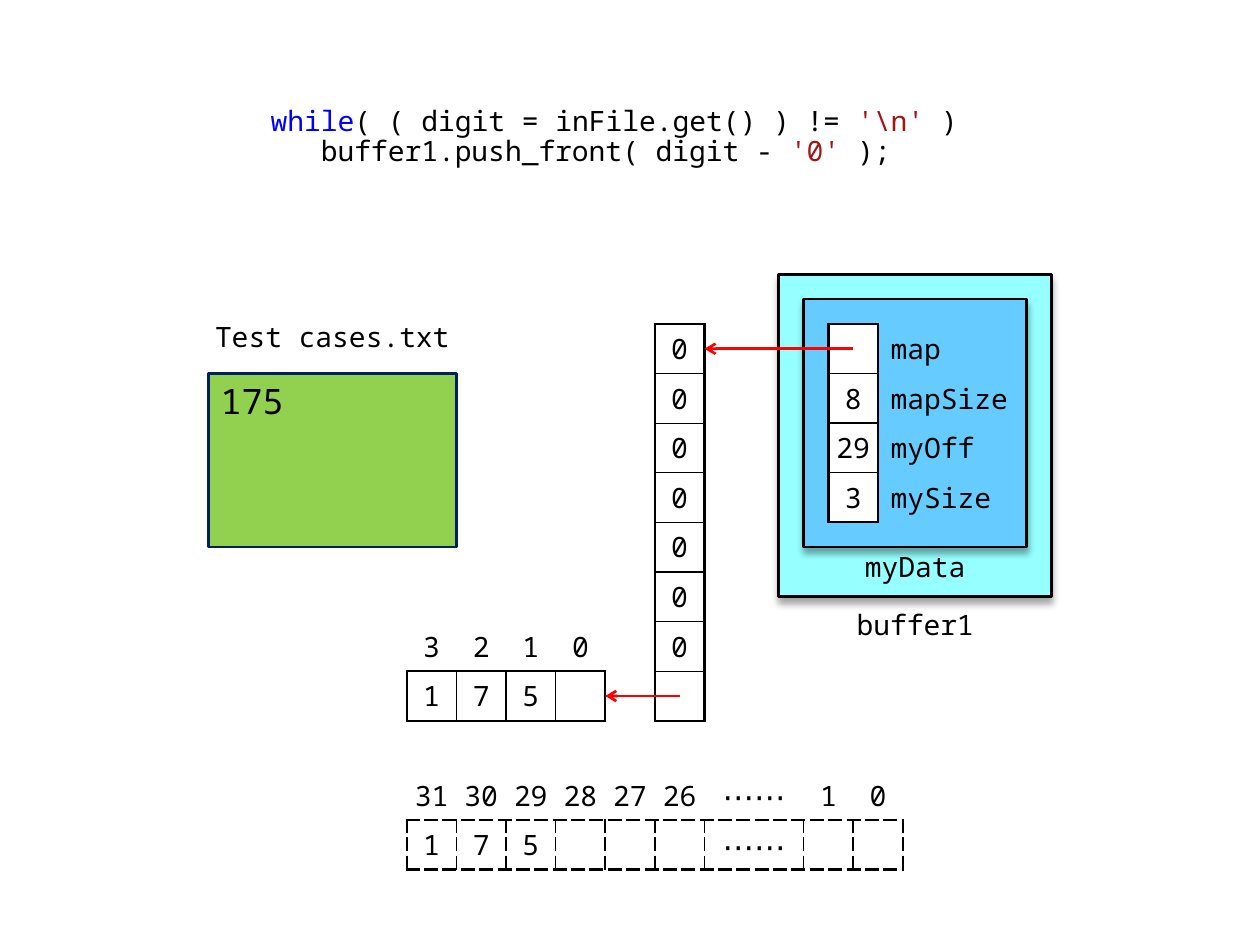
from dataclasses import dataclass
from typing import Any, NamedTuple

from lxml.etree import SubElement
from pptx import Presentation
from pptx.dml.color import RGBColor
from pptx.enum.shapes import MSO_CONNECTOR, MSO_SHAPE
from pptx.enum.text import MSO_ANCHOR, MSO_AUTO_SIZE, PP_ALIGN
from pptx.oxml.ns import qn
from pptx.util import Cm, Inches, Pt


@dataclass(frozen=True)
class Theme:
    font: str = "Noto Sans Mono"
    ink: str = "000000"
    key: str = "0000FF"
    quote: str = "A31515"
    arrow: str = "FF0000"
    paper: str = "FFFFFF"
    file: str = "92D050"
    rim: str = "002060"
    outer: str = "96FFFF"
    inner: str = "66CCFF"
    size: int = 16
    dots: int = 18
    big: int = 20
    heavy: float = 1.5


class Area(NamedTuple):
    """Columns and rows of the one-centimetre grid."""
    col: float
    row: float
    wide: float
    high: float


class Box(NamedTuple):
    area: Area
    kind: MSO_SHAPE
    fill: str
    line: str
    shade: bool


class Label(NamedTuple):
    text: str
    area: Area
    anchor: MSO_ANCHOR
    top: float
    base: float


class Arrow(NamedTuple):
    start: float
    end: float
    row: float


@dataclass(frozen=True)
class Grid:
    col: float
    row: float
    cells: list[list[str]]
    widths: list[int]
    frame: tuple[int, int, int, int]  # first row, first column, last row, last column
    thin: float
    side: float = 0.04
    dash: str = "solid"
    fill: str = ""
    label: int = -1  # column of left-aligned names


THEME = Theme()
LEFT, TOP = 0.2, 0.53
PLAIN = "{2D5ABB26-0587-4C30-8999-92F81FD0307C}"
DOTS = "⋯⋯"
MIDDLE = MSO_ANCHOR.MIDDLE

BOXES = [
    Box(Area(4, 7, 5, 3.5), MSO_SHAPE.RECTANGLE, THEME.file, THEME.rim, False),
    Box(Area(15.5, 5, 5.5, 6.5), MSO_SHAPE.FLOWCHART_PROCESS, THEME.outer, THEME.ink, True),
    Box(Area(16, 5.5, 4.5, 5), MSO_SHAPE.FLOWCHART_PROCESS, THEME.inner, THEME.ink, True),
]
LABELS = [
    Label("Test cases.txt", Area(3.5, 5.5, 6, 1.5), MIDDLE, 0.05, 0.05),
    Label("buffer1", Area(16.5, 11.5, 3.5, 1), MIDDLE, 0.04, 0),
    Label("myData", Area(17, 10.5, 2.5, 1), MSO_ANCHOR.TOP, 0.02, 0),
]
GRIDS = [
    # Members of the deque
    Grid(16.5, 6, [["", "map"], ["8", "mapSize"], ["29", "myOff"], ["3", "mySize"]],
         [1, 3], (0, 0, 3, 0), 1, side=0, fill=THEME.paper, label=1),
    # Map of block pointers
    Grid(13, 6, [["0"]] * 7 + [[""]], [1], (0, 0, 7, 0), 0.75, side=0.08),
    # Block in use
    Grid(8, 12, [["3", "2", "1", "0"], ["1", "7", "5", ""]], [1] * 4, (1, 0, 1, 3), 0.75),
    # Whole sequence of slots
    Grid(8, 15, [["31", "30", "29", "28", "27", "26", DOTS, "1", "0"],
                 ["1", "7", "5", "", "", "", DOTS, "", ""]],
         [1] * 6 + [2, 1, 1], (1, 0, 1, 8), 1, dash="sysDash"),
]
ARROWS = [Arrow(17, 14, 6.5), Arrow(13.5, 12, 13.5)]
CODE = [
    [("while", THEME.key), ("( ( digit = inFile.get() ) != ", THEME.ink),
     ("'\\n'", THEME.quote), (" )", THEME.ink)],
    [("   buffer1.push_front( digit - ", THEME.ink), ("'0' ", THEME.quote),
     (");", THEME.ink)],
]


def apply(thing: Any, **values: Any) -> None:
    for name, value in values.items():
        setattr(thing, name, value)


def across(col: float) -> int:
    return Cm(LEFT + col)


def down(row: float) -> int:
    return Cm(TOP + row)


def place(area: Area) -> tuple[int, int, int, int]:
    return across(area.col), down(area.row), Cm(area.wide), Cm(area.high)


def write(para: Any, text: str, color: str = THEME.ink, size: int = THEME.size) -> None:
    run = para.add_run()
    run.text = text
    apply(run.font, name=THEME.font, size=Pt(size))
    run.font.color.rgb = RGBColor.from_string(color)


def draw_code(shape: Any) -> None:
    apply(shape, **dict(zip(("left", "top", "width", "height"), place(Area(5, 1.5, 14.5, 2)))))
    frame = shape.text_frame
    apply(frame, auto_size=MSO_AUTO_SIZE.NONE, word_wrap=True, vertical_anchor=MSO_ANCHOR.TOP)
    for index, line in enumerate(CODE):
        para = frame.add_paragraph() if index else frame.paragraphs[0]
        apply(para, space_before=Pt(0), line_spacing=0.9)
        props = para._p.get_or_add_pPr()
        props.set("marL", "0")
        props.set("indent", "0")
        SubElement(props, qn("a:buNone"))
        for text, color in line:
            write(para, text, color)


def draw_box(shapes: Any, box: Box) -> Any:
    shape = shapes.add_shape(box.kind, *place(box.area))
    shape.fill.solid()
    shape.fill.fore_color.rgb = RGBColor.from_string(box.fill)
    shape.line.color.rgb = RGBColor.from_string(box.line)
    shape.line.width = Pt(THEME.heavy)
    shape.shadow.inherit = False
    if box.shade:
        effects = shape._element.spPr.find(qn("a:effectLst"))
        shade = SubElement(effects, qn("a:outerShdw"), blurRad=str(Pt(4)), dist=str(Pt(3)),
                           dir="5400000", rotWithShape="0")
        color = SubElement(shade, qn("a:srgbClr"), val=THEME.ink)
        SubElement(color, qn("a:alpha"), val="35000")
    return shape


def draw_label(shapes: Any, label: Label) -> None:
    frame = shapes.add_textbox(*place(label.area)).text_frame
    apply(frame, word_wrap=True, vertical_anchor=label.anchor,
          margin_left=Inches(0.08), margin_right=Inches(0.08),
          margin_top=Inches(label.top), margin_bottom=Inches(label.base))
    frame.paragraphs[0].alignment = PP_ALIGN.CENTER
    write(frame.paragraphs[0], label.text)


def edge(cell: Any, grid: Grid, row: int, col: int) -> None:
    """Heavy lines round the frame, thin lines within it."""
    first, left, last, right = grid.frame
    if not (first <= row <= last and left <= col <= right):
        return
    rims = {"L": col == left, "R": col == right, "T": row == first, "B": row == last}
    for side, rim in rims.items():
        width = Pt(THEME.heavy if rim else grid.thin)
        line = SubElement(cell._tc.get_or_add_tcPr(), qn(f"a:ln{side}"), w=str(width))
        SubElement(SubElement(line, qn("a:solidFill")), qn("a:srgbClr"), val=THEME.ink)
        SubElement(line, qn("a:prstDash"), val=grid.dash)


def draw_grid(shapes: Any, grid: Grid) -> None:
    rows, cols = len(grid.cells), len(grid.widths)
    area = Area(grid.col, grid.row, sum(grid.widths), rows)
    table = shapes.add_table(rows, cols, *place(area)).table
    apply(table, first_row=False, horz_banding=False)
    table._tbl.tblPr.find(qn("a:tableStyleId")).text = PLAIN
    for col, wide in enumerate(grid.widths):
        table.columns[col].width = Cm(wide)
    for row, texts in enumerate(grid.cells):
        for col, text in enumerate(texts):
            cell = table.cell(row, col)
            named = col == grid.label
            side = Inches(0.1 if named else grid.side)
            apply(cell, vertical_anchor=MIDDLE, margin_left=side, margin_right=side,
                  margin_top=Inches(0.04), margin_bottom=Inches(0.04))
            edge(cell, grid, row, col)
            if grid.fill and not named:
                cell.fill.solid()
                cell.fill.fore_color.rgb = RGBColor.from_string(grid.fill)
            else:
                cell.fill.background()
            para = cell.text_frame.paragraphs[0]
            para.alignment = PP_ALIGN.LEFT if named else PP_ALIGN.CENTER
            if text:
                write(para, text, size=THEME.dots if text == DOTS else THEME.size)


def draw_arrow(shapes: Any, arrow: Arrow) -> None:
    link = shapes.add_connector(MSO_CONNECTOR.STRAIGHT, across(arrow.start), down(arrow.row),
                                across(arrow.end), down(arrow.row))
    link.line.color.rgb = RGBColor.from_string(THEME.arrow)
    link.line.width = Pt(THEME.heavy)
    props = link._element.spPr
    SubElement(props.find(qn("a:ln")), qn("a:tailEnd"), type="arrow")
    SubElement(props, qn("a:effectLst"))


def main() -> None:
    deck = Presentation()
    apply(deck, slide_width=Inches(10), slide_height=Inches(7.5))
    slide = deck.slides.add_slide(deck.slide_layouts[1])
    shapes = slide.shapes
    title = shapes.title.element
    title.getparent().remove(title)
    draw_code(slide.placeholders[1])

    # Input file and container
    frame = [draw_box(shapes, box) for box in BOXES][0].text_frame
    frame.vertical_anchor = MSO_ANCHOR.TOP
    apply(frame.paragraphs[0], alignment=PP_ALIGN.LEFT, space_before=Pt(4))
    write(frame.paragraphs[0], "175", size=THEME.big)
    for label in LABELS:
        draw_label(shapes, label)

    # Memory, then the pointers over it
    for grid in GRIDS:
        draw_grid(shapes, grid)
    for arrow in ARROWS:
        draw_arrow(shapes, arrow)
    deck.save("out.pptx")


if __name__ == "__main__":
    main()
